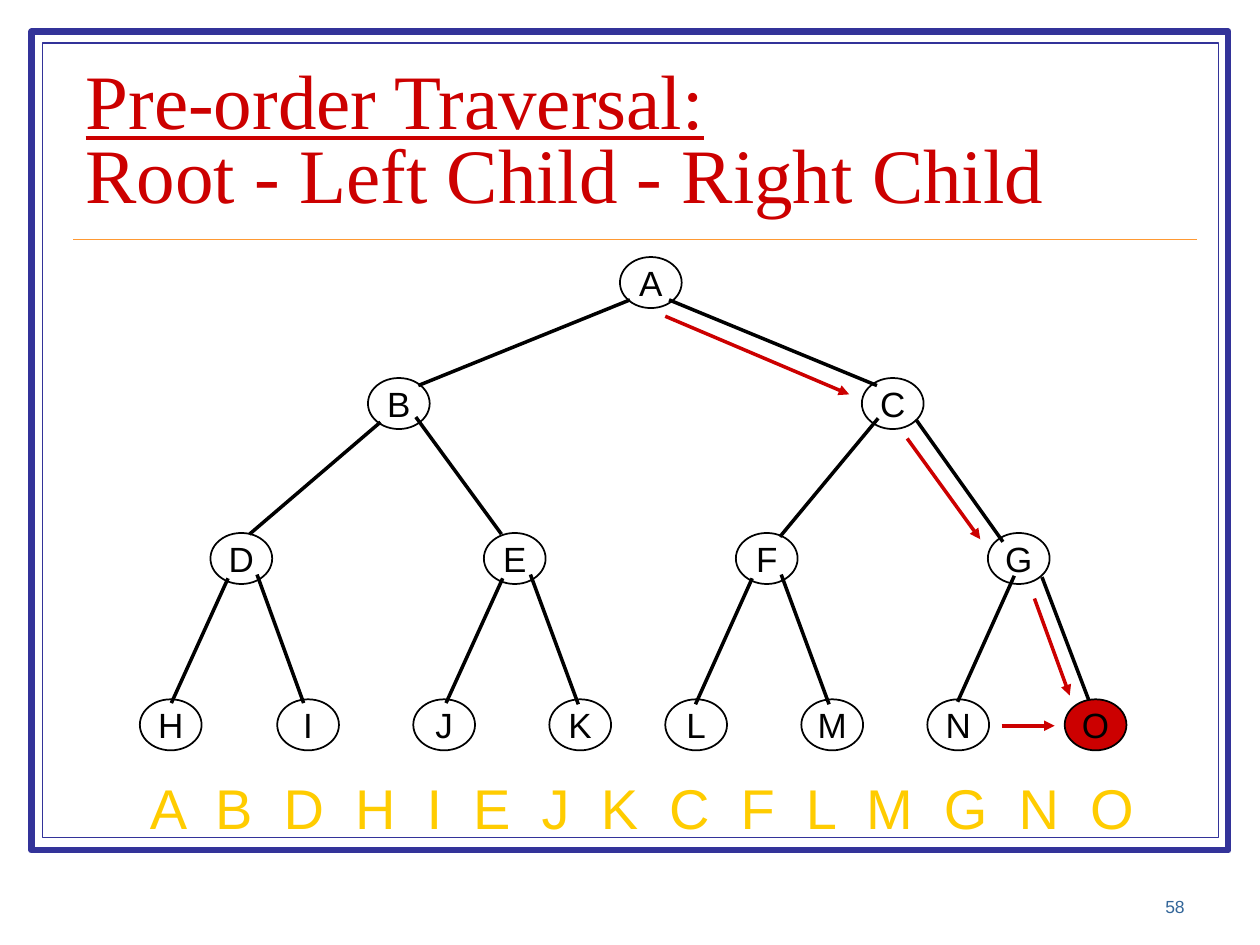
from typing import NamedTuple

from lxml.etree import SubElement
from pptx import Presentation
from pptx.dml.color import RGBColor
from pptx.enum.shapes import MSO_CONNECTOR, MSO_SHAPE
from pptx.enum.text import MSO_ANCHOR as ANCHOR, PP_ALIGN as ALIGN
from pptx.oxml import parse_xml
from pptx.oxml.ns import nsdecls, qn
from pptx.util import Inches, Pt

COLS, ROWS = 100, 75
COLORS = {
    "paper": "FFFFFF", "ink": "000000", "frame": "333399", "rule": "FF9933",
    "accent": "CC0000", "order": "FFCC00", "number": "336699",
}


class Box(NamedTuple):
    col: float
    row: float
    width: float
    height: float


class Link(NamedTuple):
    col1: float
    row1: float
    col2: float
    row2: float


class Level(NamedTuple):
    row: float
    nodes: dict[str, float]


NODE_WIDTH, NODE_HEIGHT = 4.9, 4.05
VISITING = "O"
FRAMES = [(Box(2.5, 2.5, 95, 65), 3.5), (Box(3.4, 3.4, 93.3, 63.1), 0.75)]
LEVELS = [
    Level(20.4, {"A": 49.2}),
    Level(30, {"B": 29.2, "C": 68.4}),
    Level(42.3, {"D": 16.7, "E": 38.4, "F": 58.4, "G": 78.4}),
    Level(55.5, {"H": 11.1, "I": 22, "J": 32.8, "K": 43.6,
                 "L": 52.8, "M": 63.6, "N": 73.6, "O": 84.5}),
]
LAST_BRANCH = Link(82.7, 45.8, 86.5, 55.8)
BRANCHES = [
    Link(50, 23.8, 33.2, 30.6), Link(53.1, 23.8, 69.6, 30.6),
    Link(30.2, 33.5, 19.8, 42.4), Link(33, 33.1, 39.8, 42.4),
    Link(69.7, 33.2, 61.9, 42.6), Link(72.7, 33.3, 79.6, 43),
    Link(18.1, 45.9, 13.6, 55.8), Link(20.4, 45.6, 24.1, 55.8),
    Link(39.9, 45.9, 35.4, 55.8), Link(42.1, 45.6, 45.9, 55.9),
    Link(59.7, 45.9, 55.2, 55.9), Link(62, 45.6, 65.8, 55.9),
    Link(80.5, 45.7, 76, 55.7),
]
STEPS = [
    Link(52.8, 25.1, 67.4, 31.3), Link(72, 34.8, 77.8, 42.8),
    Link(82.1, 47.5, 84.9, 55.2), Link(79.5, 57.6, 83.7, 57.6),
]

prs = Presentation()
prs.slide_width, prs.slide_height = Inches(10), Inches(7.5)
slide = prs.slides.add_slide(prs.slide_layouts[5])
shapes = slide.shapes


def place(values: tuple) -> list[int]:
    cells = (prs.slide_width / COLS, prs.slide_height / ROWS) * 2
    return [round(value * cell) for value, cell in zip(values, cells)]


def color(name: str) -> RGBColor:
    return RGBColor.from_string(COLORS[name])


def style_runs(p, font: str, size: float, ink: str) -> None:
    for r in p.runs:
        r.font.name, r.font.size = font, Pt(size)
        r.font.color.rgb = color(ink)


def add_outlined(kind, box: Box, fill: str, line: str, weight: float):
    sp = shapes.add_shape(kind, *place(box))
    sp.shadow.inherit = False
    sp.fill.solid()
    sp.fill.fore_color.rgb = color(fill)
    sp.line.color.rgb = color(line)
    sp.line.width = Pt(weight)
    return sp


def add_line(link: Link, ink: str, weight: float = 2, arrow: bool = False) -> None:
    line = shapes.add_connector(MSO_CONNECTOR.STRAIGHT, *place(link))
    line.line.color.rgb = color(ink)
    line.line.width = Pt(weight)
    if arrow:
        SubElement(line.line._ln, qn("a:tailEnd"), type="triangle")
    SubElement(line._element.spPr, qn("a:effectLst"))


def add_node(label: str, col: float, row: float) -> None:
    fill = "accent" if label == VISITING else "paper"
    box = Box(col, row, NODE_WIDTH, NODE_HEIGHT)
    sp = add_outlined(MSO_SHAPE.OVAL, box, fill, "ink", 1)
    tf = sp.text_frame
    tf.margin_left = tf.margin_right = tf.margin_top = tf.margin_bottom = 0
    tf.vertical_anchor, tf.word_wrap = ANCHOR.MIDDLE, False
    tf.text = label
    tf.paragraphs[0].alignment = ALIGN.CENTER
    style_runs(tf.paragraphs[0], "Arial", 20, "ink")


def add_text(text: str, box: Box, size: float, ink: str, align, anchor):
    tf = shapes.add_textbox(*place(box)).text_frame
    tf.word_wrap, tf.vertical_anchor = True, anchor
    tf.text = text
    p = tf.paragraphs[0]
    p.alignment = align
    style_runs(p, "Arial", size, ink)
    return p


def add_title() -> None:
    title = shapes.title
    title.left, title.top, title.width, title.height = place(Box(5.8, 5.2, 89.2, 12.5))
    tf = title.text_frame
    tf.vertical_anchor, tf.word_wrap = ANCHOR.MIDDLE, True
    tf.text = "Pre-order Traversal:\vRoot - Left Child - Right Child"
    p = tf.paragraphs[0]
    p.alignment, p.line_spacing = ALIGN.LEFT, 0.8
    style_runs(p, "Times New Roman", 44, "accent")
    p.runs[0].font.underline = True
    shapes._spTree.append(title._element)


def add_visit_order() -> None:
    p = add_text("A B D H I E J K C F L M G N O", Box(10.7, 60.9, 80.6, 6.3),
                 32, "order", ALIGN.CENTER, ANCHOR.TOP)
    rpr = p.runs[0].font._element
    rpr.set("spc", "445")
    rpr.find(qn("a:solidFill")).addnext(parse_xml(
        f'<a:effectLst {nsdecls("a")}><a:outerShdw dist="17961" dir="2700000">'
        f'<a:srgbClr val="{COLORS["ink"]}"/></a:outerShdw></a:effectLst>'))


for frame, weight in FRAMES:
    add_outlined(MSO_SHAPE.RECTANGLE, frame, "paper", "frame", weight)
add_line(Link(5.8, 19, 95, 19), "rule", 1)
add_text("58", Box(74.2, 68.3, 20.8, 5), 10, "number", ALIGN.RIGHT, ANCHOR.BOTTOM)
add_line(LAST_BRANCH, "ink")
for level in LEVELS:
    for label, col in level.nodes.items():
        add_node(label, col, level.row)
for branch in BRANCHES:
    add_line(branch, "ink")
add_title()
for step in STEPS:
    add_line(step, "accent", arrow=True)
add_visit_order()
prs.save("out.pptx")
